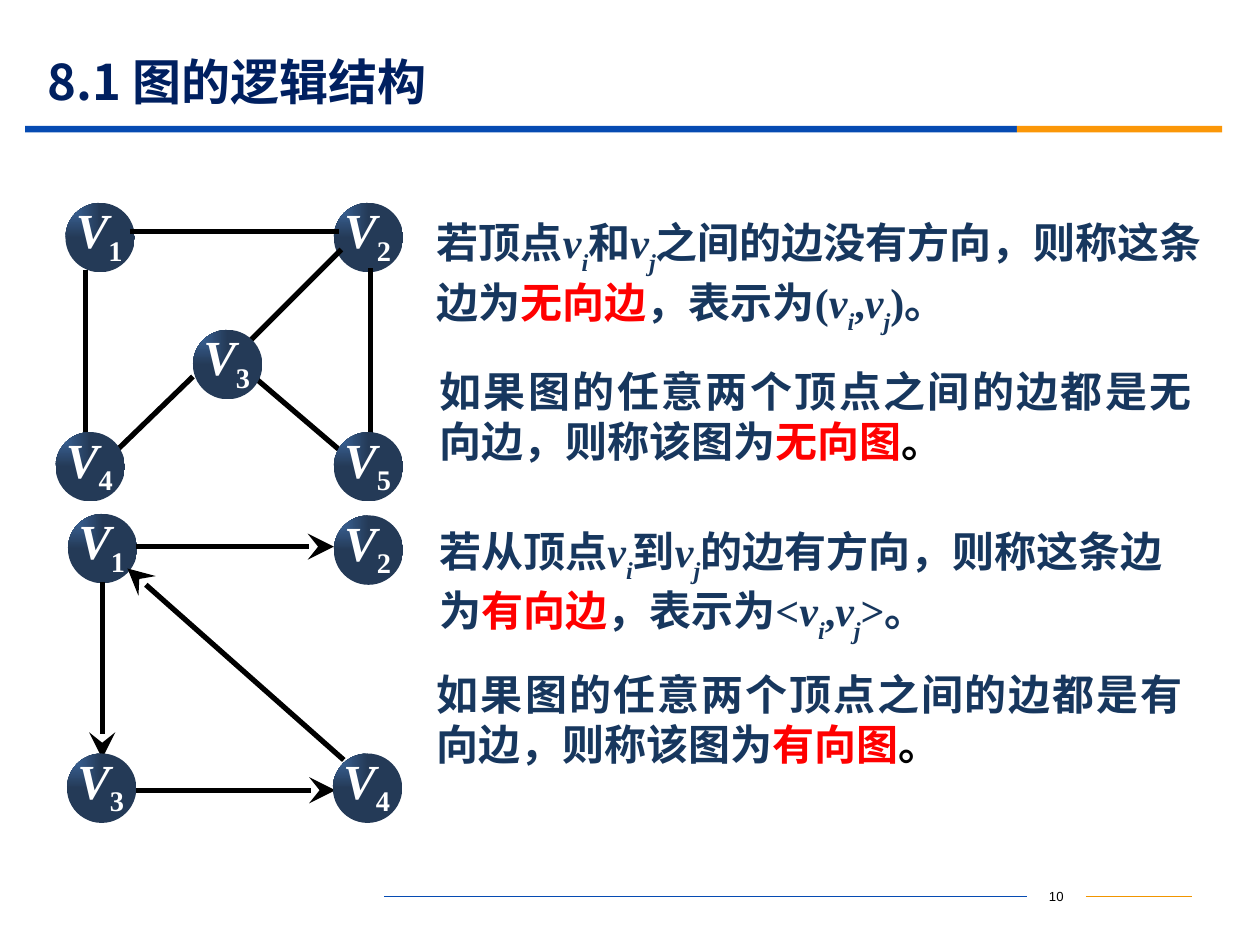
from typing import NamedTuple

from lxml.etree import SubElement
from pptx import Presentation
from pptx.dml.color import RGBColor
from pptx.enum.shapes import MSO_CONNECTOR, MSO_SHAPE
from pptx.enum.text import MSO_ANCHOR, PP_ALIGN
from pptx.oxml.ns import qn
from pptx.util import Cm, Pt

NAVY = RGBColor(0x00, 0x20, 0x60)
INK = RGBColor(0x17, 0x37, 0x5E)
RED = RGBColor(0xFF, 0x00, 0x00)
BLACK = RGBColor(0x00, 0x00, 0x00)
WHITE = RGBColor(0xFF, 0xFF, 0xFF)
BLUE = RGBColor(0x06, 0x4B, 0xB2)
ORANGE = RGBColor(0xFB, 0x97, 0x08)
FOOTER_ORANGE = RGBColor(0xF1, 0x95, 0x00)
NODE_LIGHT = RGBColor(0x3F, 0x6C, 0xA5)
NODE_DARK = RGBColor(0x24, 0x3A, 0x57)

SERIF = "Times New Roman"
CHINESE = "Noto Sans CJK SC"
NODE_SIZE = 1.4


class Node(NamedTuple):
    number: str
    left: float
    top: float


class Edge(NamedTuple):
    x1: float
    y1: float
    x2: float
    y2: float


class Graph(NamedTuple):
    back_nodes: list[Node]
    edges: list[Edge]
    front_nodes: list[Node]
    directed: bool


class Run(NamedTuple):
    text: str
    color: RGBColor = INK
    italic: bool = False
    baseline: int = 0


class Statement(NamedTuple):
    left: float
    top: float
    width: float
    side_inset: float
    align: PP_ALIGN
    line_height: float
    runs: list[Run]


def vertex(index: str) -> list[Run]:
    return [Run("v", italic=True), Run(index, italic=True, baseline=-30000)]


def edge_definition(opening: str, joint: str, middle: str, term: str, left_mark: str, right_mark: str) -> list[Run]:
    return [
        Run(opening), *vertex("i"), Run(joint), *vertex("j"), Run(middle), Run(term, RED),
        Run("，表示为" + left_mark), *vertex("i"), Run(","), *vertex("j"), Run(right_mark + "。"),
    ]


def graph_definition(kind: str) -> list[Run]:
    return [
        Run(f"如果图的任意两个顶点之间的边都是{kind}向边，则称该图为"),
        Run(f"{kind}向图", RED), Run("。", BLACK),
    ]


GRAPHS = [
    Graph(
        [Node("1", 1.32, 4.09), Node("2", 6.73, 4.09)],
        [
            Edge(2.62, 4.67, 6.83, 4.67), Edge(3.89, 7.59, 2.29, 9.14),
            Edge(7.47, 5.41, 7.47, 8.84), Edge(6.88, 5.03, 5.05, 6.86),
            Edge(5.18, 7.65, 6.96, 9.17), Edge(1.73, 5.44, 1.73, 8.79),
        ],
        [Node("3", 3.89, 6.65), Node("4", 1.12, 8.71), Node("5", 6.73, 8.71)],
        False,
    ),
    Graph(
        [Node("1", 1.37, 10.36), Node("2", 6.73, 10.39)],
        [
            Edge(2.74, 11.02, 6.73, 11.02), Edge(2.06, 11.73, 2.06, 15.29),
            Edge(2.67, 15.93, 6.76, 15.93), Edge(6.93, 15.32, 2.57, 11.46),
        ],
        [Node("3", 1.35, 15.19), Node("4", 6.71, 15.19)],
        True,
    ),
]

STATEMENTS = [
    Statement(8.81, 4.24, 15.44, 0, PP_ALIGN.LEFT, 34, edge_definition(
        "若顶点", "和", "之间的边没有方向，则称这条边为", "无向边", "(", ")")),
    Statement(8.61, 7.24, 15.67, 0.25, PP_ALIGN.JUSTIFY, 28.8, graph_definition("无")),
    Statement(8.61, 10.46, 15.67, 0.25, PP_ALIGN.LEFT, 34, edge_definition(
        "若从顶点", "到", "的边有方向，则称这条边为", "有向边", "<", ">")),
    Statement(8.81, 13.34, 15.04, 0, PP_ALIGN.JUSTIFY, 28.8, graph_definition("有")),
]


def format_paragraph(paragraph, size: float, name: str, bold: bool) -> None:
    font = paragraph.font
    font.size, font.name, font.bold = Pt(size), name, bold
    defaults = paragraph._p.pPr.find(qn("a:defRPr"))
    SubElement(defaults, qn("a:ea")).set("typeface", CHINESE)


def add_runs(paragraph, runs: list[Run]) -> None:
    for item in runs:
        run = paragraph.add_run()
        run.text = item.text
        run.font.color.rgb = item.color
        run.font.italic = item.italic
        if item.baseline:
            run.font._element.set("baseline", str(item.baseline))


def add_text(slide, left: float, top: float, width: float, height: float,
             insets: tuple[float, float, float, float], runs: list[Run],
             size: float, name: str = SERIF, bold: bool = True):
    frame = slide.shapes.add_textbox(Cm(left), Cm(top), Cm(width), Cm(height)).text_frame
    frame.word_wrap = True
    frame.margin_left, frame.margin_top, frame.margin_right, frame.margin_bottom = map(Cm, insets)
    paragraph = frame.paragraphs[0]
    add_runs(paragraph, runs)
    format_paragraph(paragraph, size, name, bold)
    return frame


def add_line(slide, edge: Edge, color: RGBColor, width: float, arrow: bool = False) -> None:
    connector = slide.shapes.add_connector(MSO_CONNECTOR.STRAIGHT, *map(Cm, edge))
    connector.line.color.rgb = color
    connector.line.width = Pt(width)
    properties = connector._element.spPr
    if arrow:
        tail = SubElement(properties.find(qn("a:ln")), qn("a:tailEnd"))
        for key, value in (("type", "stealth"), ("w", "lg"), ("len", "lg")):
            tail.set(key, value)
    SubElement(properties, qn("a:effectLst"))


def add_bar(slide, left: float, width: float, color: RGBColor) -> None:
    bar = slide.shapes.add_shape(MSO_SHAPE.RECTANGLE, Cm(left), Cm(2.54), Cm(width), Cm(0.13))
    bar.shadow.inherit = False
    bar.fill.solid()
    bar.fill.fore_color.rgb = color
    bar.line.fill.background()


def add_node(slide, node: Node) -> None:
    circle = slide.shapes.add_shape(
        MSO_SHAPE.OVAL, Cm(node.left), Cm(node.top), Cm(NODE_SIZE), Cm(NODE_SIZE))
    circle.shadow.inherit = False
    circle.line.fill.background()
    circle.fill.gradient()
    for stop, position, color in zip(circle.fill.gradient_stops, (0, 1), (NODE_LIGHT, NODE_DARK)):
        stop.position = position
        stop.color.rgb = color
    gradient = circle._element.spPr.find(qn("a:gradFill"))
    gradient.remove(gradient.find(qn("a:lin")))
    shade = SubElement(gradient, qn("a:path"))
    shade.set("path", "rect")
    focus = SubElement(shade, qn("a:fillToRect"))
    focus.set("r", "100000")
    focus.set("b", "100000")
    add_text(slide, node.left + 0.18, node.top - 0.14, 1.3, 1.65, (0.03, 0.08, 0, 0.03),
             [Run("V", WHITE, True), Run(node.number, WHITE, baseline=-25000)], 28)


def add_graph(slide, graph: Graph) -> None:
    for node in graph.back_nodes:
        add_node(slide, node)
    for edge in graph.edges:
        add_line(slide, edge, BLACK, 3, graph.directed)
    for node in graph.front_nodes:
        add_node(slide, node)


def add_statement(slide, statement: Statement) -> None:
    inset = statement.side_inset
    frame = add_text(slide, statement.left, statement.top, statement.width, 2.31,
                     (inset, 0.13, inset, 0.13), statement.runs, 24)
    frame.paragraphs[0].alignment = statement.align
    frame.paragraphs[0].line_spacing = Pt(statement.line_height)


def add_title(slide) -> None:
    title = slide.shapes.title
    title.left, title.top, title.width, title.height = Cm(0.71), Cm(1.09), Cm(22.86), Cm(1.09)
    title.text_frame.vertical_anchor = MSO_ANCHOR.MIDDLE
    paragraph = title.text_frame.paragraphs[0]
    paragraph.alignment = PP_ALIGN.LEFT
    add_runs(paragraph, [Run("8.1 图的逻辑结构", NAVY)])
    format_paragraph(paragraph, 28, CHINESE, True)


def main() -> None:
    presentation = Presentation()
    presentation.slide_width, presentation.slide_height = Cm(25.4), Cm(19.05)
    slide = presentation.slides.add_slide(presentation.slide_layouts[5])
    add_title(slide)
    add_bar(slide, 0.51, 19.99, BLUE)
    add_bar(slide, 20.5, 4.14, ORANGE)
    add_line(slide, Edge(7.75, 18.08, 20.7, 18.08), BLUE, 0.75)
    add_line(slide, Edge(21.89, 18.08, 24.03, 18.08), FOOTER_ORANGE, 0.75)
    number = add_text(slide, 20.7, 17.75, 1.19, 0.64, (0, 0, 0, 0), [Run("10", BLACK)], 7.5, "Arial", False)
    number.vertical_anchor = MSO_ANCHOR.MIDDLE
    number.paragraphs[0].alignment = PP_ALIGN.CENTER
    for statement in STATEMENTS:
        add_statement(slide, statement)
    for graph in GRAPHS:
        add_graph(slide, graph)
    presentation.save("out.pptx")


if __name__ == "__main__":
    main()
